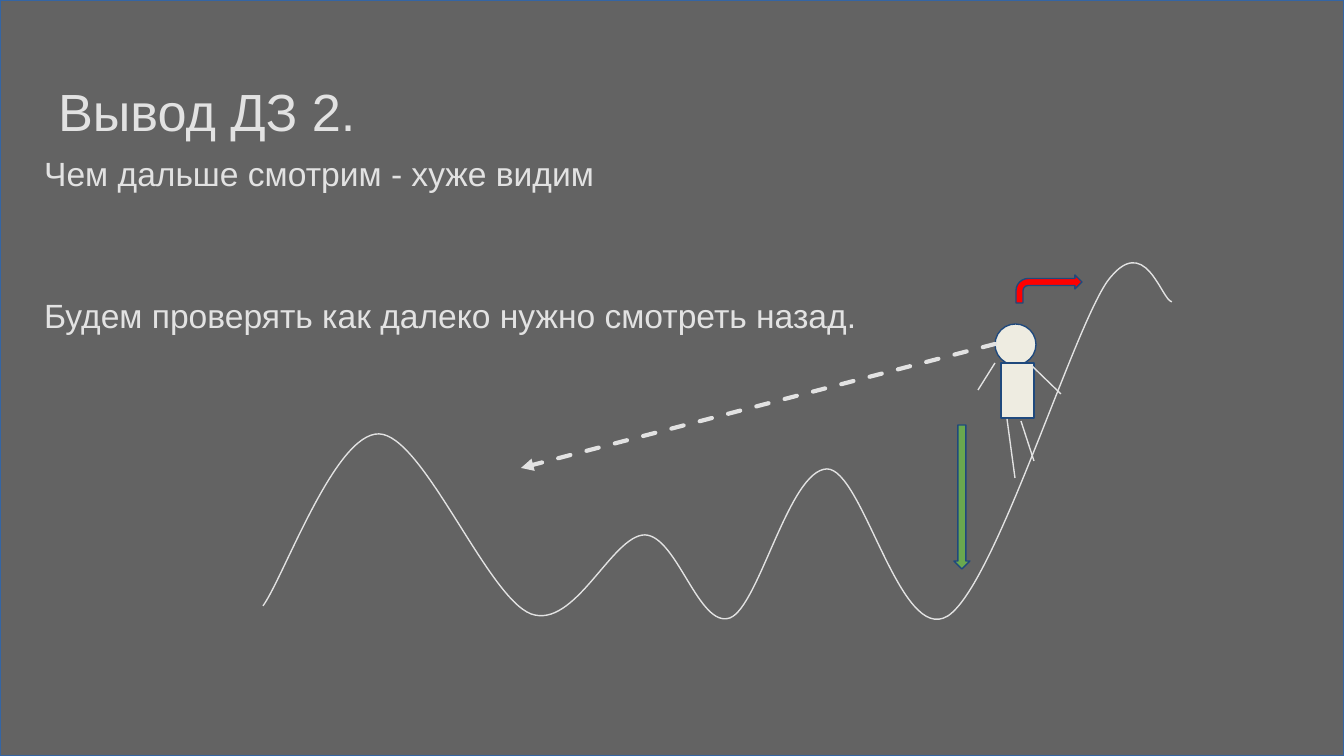
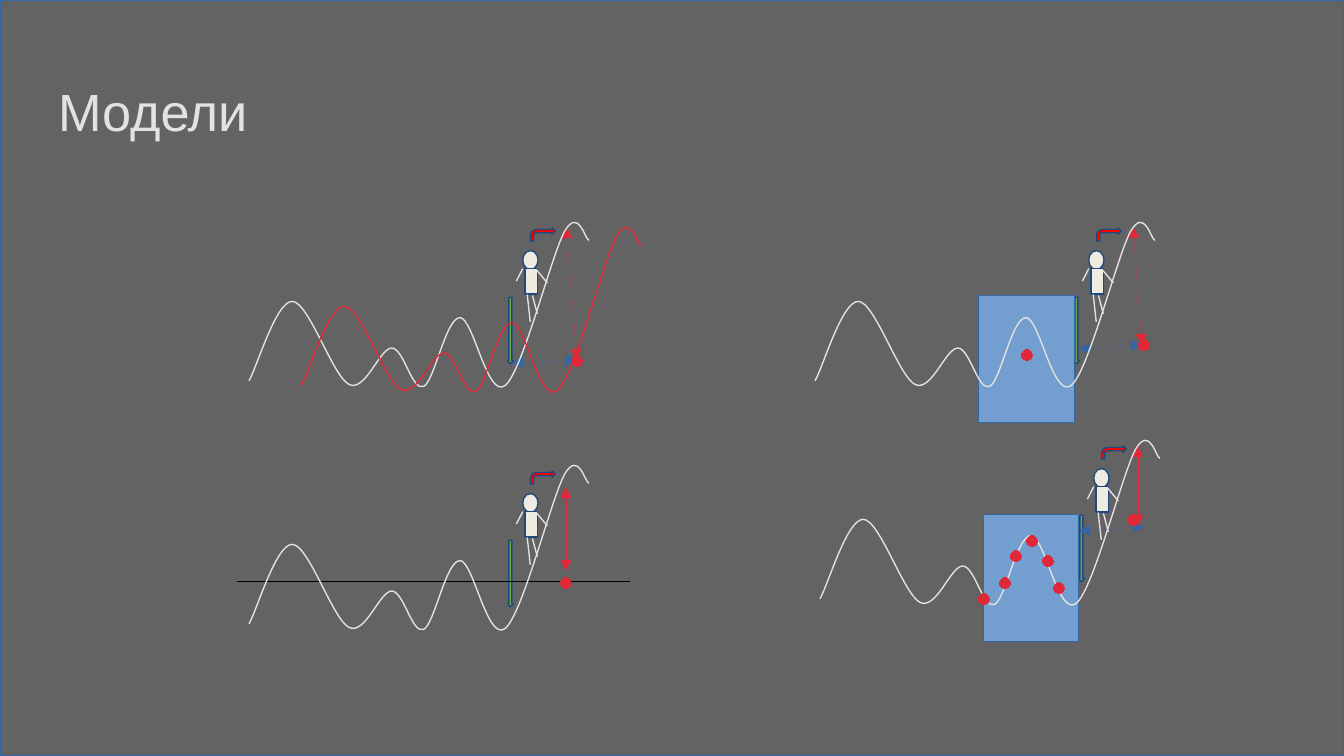
"""Two dark slides: a walker on a hilly curve, then four forecasting models."""
from dataclasses import dataclass
from typing import NamedTuple, Optional

from lxml import etree
from pptx import Presentation
from pptx import util as u
from pptx.dml.color import RGBColor
from pptx.enum import dml, shapes
from pptx.oxml.ns import qn

EMU_PER_PIXEL = 914400 / 134.4
SLIDE_WIDTH, SLIDE_HEIGHT = 1344, 756
FONT = "Arial"
OUTLINE_PT = 0.74
DOT_SIZE = 11

GREY = RGBColor(0x63, 0x63, 0x63)
LIGHT = RGBColor(0xE2, 0xE2, 0xE2)
CREAM = RGBColor(0xEE, 0xEC, 0xE1)
NAVY = RGBColor(0x1F, 0x49, 0x7D)
BLUE = RGBColor(0x34, 0x65, 0xA4)
SKY = RGBColor(0x72, 0x9F, 0xCF)
RED = RGBColor(0xFF, 0x00, 0x00)
CRIMSON = RGBColor(0xE1, 0x28, 0x39)
GREEN = RGBColor(0x6A, 0xA8, 0x4F)
BLACK = RGBColor(0x00, 0x00, 0x00)


class Point(NamedTuple):
    """A place in pixels."""
    x: float
    y: float


class Box(NamedTuple):
    """Left, top, width and height in pixels."""
    x: float
    y: float
    w: float
    h: float


class Part(NamedTuple):
    """A filled piece of the walker scene."""
    kind: shapes.MSO_SHAPE
    box: Box
    fill: RGBColor


class Link(NamedTuple):
    """A thin straight line, with arrowheads at both ends if wanted."""
    start: Point
    end: Point
    color: RGBColor
    heads: tuple[str, ...] = ("headEnd", "tailEnd")


@dataclass(frozen=True)
class Frame:
    """Places the full-size scene at an origin, scaled on each axis."""
    origin: Point
    scale_x: float = 0.374
    scale_y: float = 0.462

    def point(self, p: Point) -> Point:
        """Map a scene point to the slide."""
        return Point(self.origin.x + (p.x - HILL_BOX.x) * self.scale_x,
                     self.origin.y + (p.y - HILL_BOX.y) * self.scale_y)

    def box(self, b: Box) -> Box:
        """Map a scene box to the slide."""
        corner = self.point(Point(b.x, b.y))
        return Box(corner.x, corner.y, b.w * self.scale_x, b.h * self.scale_y)


@dataclass(frozen=True)
class Model:
    """One small scene with its forecast marks."""
    frame: Frame
    links: tuple[Link, ...]
    dots: tuple[Point, ...]
    window: Optional[Box] = None
    forecast: Optional[Frame] = None


HILL_BOX = Box(263, 262, 909, 358)
HILL_START = Point(263, 606)
# Each bend: first control, second control, end.
HILL_BENDS = (
    (Point(284, 577), Point(335, 433), Point(379, 434)),
    (Point(423, 435), Point(487, 597), Point(531, 614)),
    (Point(575, 630), Point(612, 535), Point(645, 535)),
    (Point(677, 536), Point(699, 629), Point(730, 618)),
    (Point(759, 607), Point(789, 470), Point(827, 469)),
    (Point(863, 469), Point(900, 646), Point(948, 616)),
    (Point(995, 585), Point(1071, 335), Point(1107, 282)),
    (Point(1145, 230), Point(1161, 300), Point(1172, 302)),
)
WALKER_PARTS = (
    Part(shapes.MSO_SHAPE.OVAL, Box(995, 324, 41, 41), CREAM),
    Part(shapes.MSO_SHAPE.RECTANGLE, Box(1001, 363, 33, 55), CREAM),
    Part(shapes.MSO_SHAPE.BENT_ARROW, Box(1016, 275, 66, 28), RED),
    Part(shapes.MSO_SHAPE.DOWN_ARROW, Box(954, 425, 16, 144), GREEN),
)
WALKER_LIMBS = (
    (Point(995, 363), Point(978, 390)),
    (Point(1032, 366), Point(1061, 394)),
    (Point(1007, 419), Point(1015, 478)),
    (Point(1021, 421), Point(1034, 461)),
)
MODELS = (
    Model(
        Frame(Point(249, 222)),
        (Link(Point(512, 363), Point(577, 360), BLUE),
         Link(Point(577, 360), Point(566, 227), CRIMSON)),
        (Point(577, 361),),
        forecast=Frame(Point(301, 227)),
    ),
    Model(
        Frame(Point(249, 465)),
        (Link(Point(238, 582), Point(630, 582), BLACK, ()),
         Link(Point(566, 571), Point(566, 487), CRIMSON)),
        (Point(566, 583),),
    ),
    Model(
        Frame(Point(815, 222)),
        (Link(Point(1079, 349), Point(1142, 345), BLUE),
         Link(Point(1142, 345), Point(1133, 227), CRIMSON)),
        (Point(1027, 355), Point(1144, 345)),
        window=Box(979, 296, 96, 127),
    ),
    Model(
        Frame(Point(820, 440)),
        (Link(Point(1079, 531), Point(1144, 527), BLUE),
         Link(Point(1138, 526), Point(1138, 446), CRIMSON)),
        (Point(1133, 520), Point(984, 599), Point(1005, 583), Point(1016, 556),
         Point(1032, 541), Point(1048, 561), Point(1059, 588)),
        window=Box(984, 515, 95, 127),
    ),
)


def px(length: float) -> u.Emu:
    """Turn pixels into EMU."""
    return u.Emu(round(length * EMU_PER_PIXEL))


def outline(shape, color: RGBColor, width: Optional[float]) -> None:
    """Drop the theme style and set the line; no width means a hairline."""
    style = shape.element.find(qn("p:style"))
    if style is not None:
        shape.element.remove(style)
    shape.line.color.rgb = color
    if width is not None:
        shape.line.width = u.Pt(width)


def add_shape(slide, kind: shapes.MSO_SHAPE, box: Box, fill: RGBColor,
              line: RGBColor, width: Optional[float] = None) -> None:
    """Draw a filled preset shape."""
    shape = slide.shapes.add_shape(kind, *map(px, box))
    shape.shadow.inherit = False
    shape.fill.solid()
    shape.fill.fore_color.rgb = fill
    outline(shape, line, width)


def add_line(slide, link: Link, width: Optional[float] = None,
             dashed: bool = False) -> None:
    """Draw a straight line with its arrowheads."""
    connector = slide.shapes.add_connector(
        shapes.MSO_CONNECTOR.STRAIGHT, *map(px, (*link.start, *link.end)))
    outline(connector, link.color, width)
    properties = connector.element.spPr
    etree.SubElement(properties, qn("a:effectLst"))
    stroke = properties.find(qn("a:ln"))
    if dashed:
        connector.line.dash_style = dml.MSO_LINE.DASH
        stroke.set("cap", "rnd")
    for head in link.heads:
        etree.SubElement(stroke, qn(f"a:{head}"), type="triangle")


def add_hills(slide, frame: Frame, color: RGBColor) -> None:
    """Draw the hilly curve: span its bounds, then put in the Bezier bends."""
    bounds = frame.box(HILL_BOX)
    builder = slide.shapes.build_freeform(px(bounds.x), px(bounds.y), scale=1.0)
    far_corner = (px(bounds.x + bounds.w), px(bounds.y + bounds.h))
    builder.add_line_segments([far_corner], close=False)
    hills = builder.convert_to_shape()
    hills.shadow.inherit = False
    hills.fill.background()
    outline(hills, color, OUTLINE_PT)

    curve = next(hills.element.iter(qn("a:path")))
    for segment in list(curve):
        curve.remove(segment)
    steps = [("moveTo", (HILL_START,))]
    steps += [("cubicBezTo", bend) for bend in HILL_BENDS]
    for command, points in steps:
        segment = etree.SubElement(curve, qn(f"a:{command}"))
        for point in map(frame.point, points):
            etree.SubElement(segment, qn("a:pt"),
                             x=str(int(px(point.x - bounds.x))),
                             y=str(int(px(point.y - bounds.y))))


def add_walker(slide, frame: Frame) -> None:
    """Draw the walker with the turn and down arrows."""
    for part in WALKER_PARTS:
        add_shape(slide, part.kind, frame.box(part.box), part.fill, NAVY,
                  OUTLINE_PT)
    for start, end in WALKER_LIMBS:
        limb = Link(frame.point(start), frame.point(end), LIGHT, ())
        add_line(slide, limb, OUTLINE_PT)


def add_text(slide, box: Box, lines: tuple[str, ...], size: int,
             gap: int = 0) -> None:
    """Write light paragraphs, with a gap in points between them."""
    text_box = slide.shapes.add_textbox(*map(px, box))
    frame = text_box.text_frame
    frame.word_wrap = True
    frame.margin_left = frame.margin_right = u.Inches(0.1)
    frame.margin_top = frame.margin_bottom = u.Inches(0.1)
    frame.text = "\n".join(lines)
    for number, paragraph in enumerate(frame.paragraphs):
        paragraph.font.name = FONT
        paragraph.font.size = u.Pt(size)
        paragraph.font.color.rgb = LIGHT
        paragraph.space_before = u.Pt(gap if number else 0)


def add_slide(deck, title: str):
    """Add a slide with the grey backdrop and its title."""
    slide = deck.slides.add_slide(deck.slide_layouts[6])
    add_shape(slide, shapes.MSO_SHAPE.RECTANGLE,
              Box(0, 0, SLIDE_WIDTH, SLIDE_HEIGHT), GREY, BLUE, 0.75)
    add_text(slide, Box(45, 66, 1253, 83), (title,), 28)
    return slide


def add_model(slide, model: Model) -> None:
    """Draw one model: walker, links, window and curves."""
    add_walker(slide, model.frame)
    for link in model.links:
        add_line(slide, link)
    if model.window:
        add_shape(slide, shapes.MSO_SHAPE.RECTANGLE, model.window, SKY, BLUE)
    add_hills(slide, model.frame, LIGHT)
    if model.forecast:
        add_hills(slide, model.forecast, CRIMSON)
    for dot in model.dots:
        corner = (dot.x - DOT_SIZE / 2, dot.y - DOT_SIZE / 2)
        add_shape(slide, shapes.MSO_SHAPE.OVAL,
                  Box(*corner, DOT_SIZE, DOT_SIZE), CRIMSON, CRIMSON)


def main() -> None:
    """Build and save the deck."""
    deck = Presentation()
    deck.slide_width, deck.slide_height = px(SLIDE_WIDTH), px(SLIDE_HEIGHT)

    conclusion = add_slide(deck, "Вывод ДЗ 2.")
    add_text(conclusion, Box(31, 140, 1253, 501),
             ("Чем дальше смотрим - хуже видим",
              "Будем проверять как далеко нужно смотреть назад."),
             18, gap=54)
    full_size = Frame(Point(HILL_BOX.x, HILL_BOX.y), 1, 1)
    add_hills(conclusion, full_size, LIGHT)
    add_walker(conclusion, full_size)
    gaze = Link(Point(995, 344), Point(521, 468), LIGHT, ("tailEnd",))
    add_line(conclusion, gaze, 2.24, dashed=True)

    overview = add_slide(deck, "Модели")
    for model in MODELS:
        add_model(overview, model)

    deck.save("out.pptx")


main()
